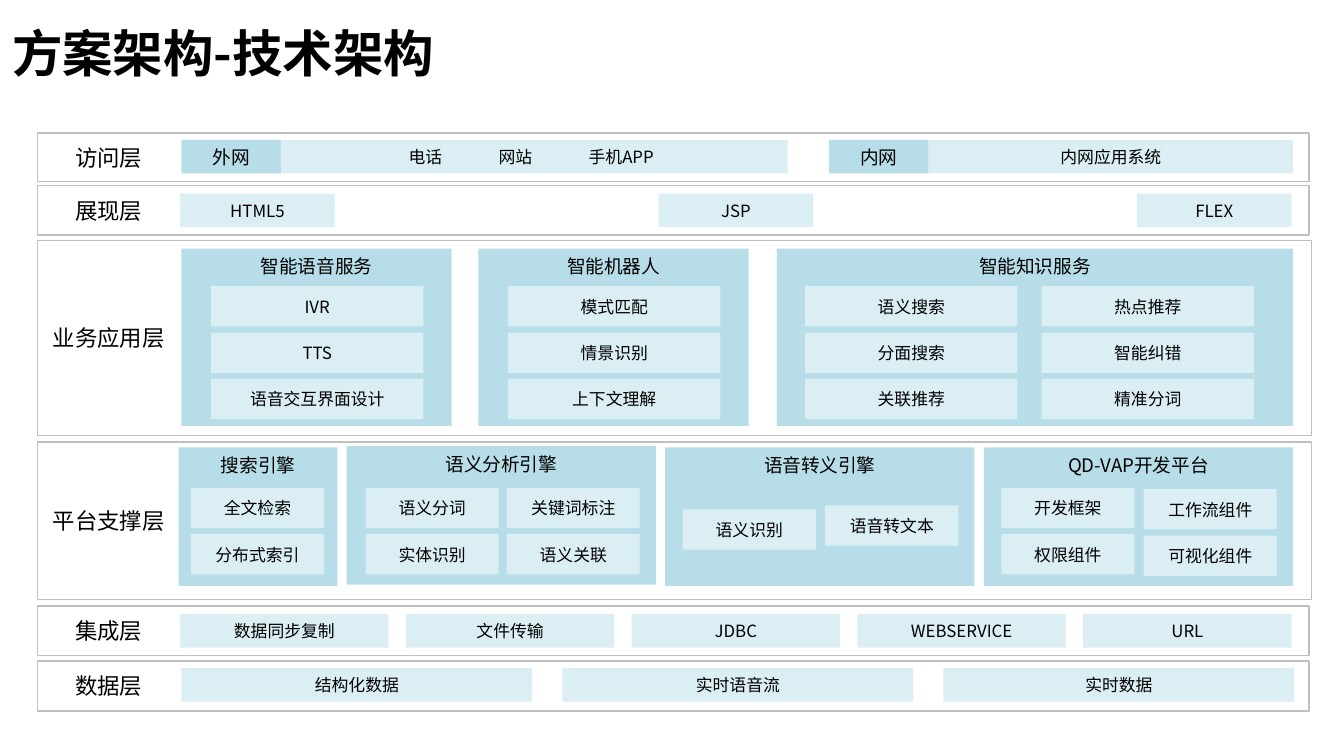
from dataclasses import dataclass

import pptx
import pptx.dml.color
import pptx.enum.shapes
import pptx.enum.text
import pptx.oxml
import pptx.oxml.ns
import pptx.util
from pptx.util import Inches

ALIGN = pptx.enum.text.PP_ALIGN
ANCHOR = pptx.enum.text.MSO_ANCHOR


@dataclass(frozen=True)
class Theme:
    font: str = "Noto Sans CJK SC"
    ink: str = "000000"
    paper: str = "FFFFFF"
    border: str = "BFBFBF"
    panel: str = "B7DEE8"
    chip: str = "DBEEF4"
    title_size: int = 27
    label_size: int = 12
    heading_size: int = 10
    chip_size: int = 9


@dataclass(frozen=True)
class Rect:
    left: float
    top: float
    width: float
    height: float


@dataclass(frozen=True)
class Layer:
    name: str
    top: float
    height: float
    width: float = 9.46


@dataclass(frozen=True)
class Strip:
    """Chips of one width, spread evenly between left and right."""
    left: float
    right: float
    top: float
    chip_width: float
    names: tuple[str, ...]


@dataclass(frozen=True)
class Column:
    left: float
    top: float
    names: tuple[str, ...]


@dataclass(frozen=True)
class Panel:
    title: str
    rect: Rect
    chip_width: float
    columns: tuple[Column, ...]


THEME = Theme()
SLIDE_WIDTH = 10
SLIDE_HEIGHT = SLIDE_WIDTH * 9 / 16
FRAME_LEFT = 0.28
STRIP_HEIGHT = 0.25
CHIP_HEIGHT = 0.3
CHIP_PITCH = 0.69 / 2

LAYERS = (
    Layer("访问层", 0.99, 0.36),
    Layer("展现层", 1.38, 0.37),
    Layer("业务应用层", 1.79, 1.45, 9.48),
    Layer("平台支撑层", 3.29, 1.17, 9.48),
    Layer("集成层", 4.51, 0.37),
    Layer("数据层", 4.92, 0.37),
)
STRIPS = (
    Strip(1.34, 9.61, 1.44, 1.15, ("HTML5", "JSP", "FLEX")),
    Strip(1.34, 9.61, 4.57, 1.55,
          ("数据同步复制", "文件传输", "JDBC", "WEBSERVICE", "URL")),
    Strip(1.35, 9.63, 4.97, 2.61, ("结构化数据", "实时语音流", "实时数据")),
)
PANELS = (
    Panel("智能语音服务", Rect(1.35, 1.85, 2.01, 1.32), 1.58,
          (Column(1.57, 2.13, ("IVR", "TTS", "语音交互界面设计")),)),
    Panel("智能机器人", Rect(3.56, 1.85, 2.01, 1.32), 1.58,
          (Column(3.78, 2.13, ("模式匹配", "情景识别", "上下文理解")),)),
    Panel("智能知识服务", Rect(5.78, 1.85, 3.84, 1.32), 1.58,
          (Column(5.99, 2.13, ("语义搜索", "分面搜索", "关联推荐")),
           Column(7.75, 2.13, ("热点推荐", "智能纠错", "精准分词")))),
    Panel("搜索引擎", Rect(1.33, 3.33, 1.18, 1.03), 0.99,
          (Column(1.42, 3.63, ("全文检索", "分布式索引")),)),
    Panel("语义分析引擎", Rect(2.58, 3.32, 2.3, 1.03), 0.99,
          (Column(2.72, 3.63, ("语义分词", "实体识别")),
           Column(3.77, 3.63, ("关键词标注", "语义关联")))),
    Panel("语音转义引擎", Rect(4.95, 3.33, 2.3, 1.03), 0.99,
          (Column(5.08, 3.79, ("语义识别",)),
           Column(6.14, 3.76, ("语音转文本",)))),
    Panel("QD-VAP开发平台", Rect(7.32, 3.33, 2.3, 1.03), 0.99,
          (Column(7.45, 3.63, ("开发框架", "权限组件")),
           Column(8.51, 3.64, ("工作流组件", "可视化组件")))),
)


def write(frame, text: str, size: int, anchor=ANCHOR.MIDDLE, align=ALIGN.CENTER,
          side: float = 0, edge: float = 0.05, bold: bool = False):
    frame.word_wrap = True
    frame.vertical_anchor = anchor
    frame.margin_left = frame.margin_right = Inches(side)
    frame.margin_top = frame.margin_bottom = Inches(edge)
    para = frame.paragraphs[0]
    para.alignment = align
    span = para.add_run()
    span.text = text
    span.font.size = pptx.util.Pt(size)
    span.font.bold = bold
    span.font.color.rgb = pptx.dml.color.RGBColor.from_string(THEME.ink)
    span.font.name = THEME.font
    east_asian = pptx.oxml.parse_xml(
        f'<a:ea {pptx.oxml.ns.nsdecls("a")} typeface="{THEME.font}"/>')
    span.font._element.find(pptx.oxml.ns.qn("a:latin")).addnext(east_asian)
    return para


def add_box(page, rect: Rect, fill: str, border: str = ""):
    box = page.shapes.add_shape(
        pptx.enum.shapes.MSO_SHAPE.RECTANGLE, Inches(rect.left), Inches(rect.top),
        Inches(rect.width), Inches(rect.height))
    box.shadow.inherit = False
    box.fill.solid()
    box.fill.fore_color.rgb = pptx.dml.color.RGBColor.from_string(fill)
    if border:
        box.line.color.rgb = pptx.dml.color.RGBColor.from_string(border)
        box.line.width = pptx.util.Pt(0.75)
    else:
        box.line.fill.background()
    return box


def add_chip(page, rect: Rect, text: str) -> None:
    write(add_box(page, rect, THEME.chip).text_frame, text, THEME.chip_size)


def add_title(page, text: str) -> None:
    title = page.shapes.title
    title.left, title.top = Inches(0), Inches(0)
    title.width, title.height = Inches(9), Inches(0.66)
    para = write(title.text_frame, text, THEME.title_size, ANCHOR.BOTTOM, ALIGN.LEFT,
                 side=0.09, edge=0.04, bold=True)
    para.line_spacing = 0.9


def add_layer(page, layer: Layer) -> None:
    add_box(page, Rect(FRAME_LEFT, layer.top, layer.width, layer.height),
            THEME.paper, THEME.border)
    middle = layer.top + layer.height / 2
    label = page.shapes.add_textbox(Inches(0.36), Inches(middle - 0.1), Inches(0.9), Inches(0.2))
    write(label.text_frame, layer.name, THEME.label_size, edge=0)


def add_strip(page, strip: Strip) -> None:
    pitch = (strip.right - strip.left - strip.chip_width) / (len(strip.names) - 1)
    for index, name in enumerate(strip.names):
        add_chip(page, Rect(strip.left + index * pitch, strip.top,
                            strip.chip_width, STRIP_HEIGHT), name)


def add_panel(page, panel: Panel) -> None:
    box = add_box(page, panel.rect, THEME.panel)
    write(box.text_frame, panel.title, THEME.heading_size, ANCHOR.TOP, side=0.1)
    for column in panel.columns:
        for row, name in enumerate(column.names):
            add_chip(page, Rect(column.left, column.top + row * CHIP_PITCH,
                                panel.chip_width, CHIP_HEIGHT), name)


def add_networks(page) -> None:
    top, head_width = 1.04, 0.74
    for name, left in (("外网", 1.35), ("内网", 6.17)):
        head = add_box(page, Rect(left, top, head_width, STRIP_HEIGHT), THEME.panel)
        write(head.text_frame, name, THEME.heading_size)
    add_chip(page, Rect(6.91, top, 2.71, STRIP_HEIGHT), "内网应用系统")

    channels = add_box(page, Rect(2.09, top, 3.77, STRIP_HEIGHT), THEME.chip)
    para = write(channels.text_frame, "电话\t网站\t手机APP", THEME.chip_size,
                 align=ALIGN.LEFT, side=0.1)
    channels.text_frame.margin_left = Inches(0.95)
    stops = "".join(f'<a:tab pos="{Inches(0.67 * step)}" algn="l"/>' for step in (1, 2))
    para._p.get_or_add_pPr().append(pptx.oxml.parse_xml(
        f'<a:tabLst {pptx.oxml.ns.nsdecls("a")}>{stops}</a:tabLst>'))


def main() -> None:
    deck = pptx.Presentation()
    deck.slide_width, deck.slide_height = Inches(SLIDE_WIDTH), Inches(SLIDE_HEIGHT)
    page = deck.slides.add_slide(deck.slide_layouts[5])
    add_title(page, "方案架构-技术架构")
    for layer in LAYERS:
        add_layer(page, layer)
    add_networks(page)
    for strip in STRIPS:
        add_strip(page, strip)
    for panel in PANELS:
        add_panel(page, panel)
    deck.save("out.pptx")


if __name__ == "__main__":
    main()
